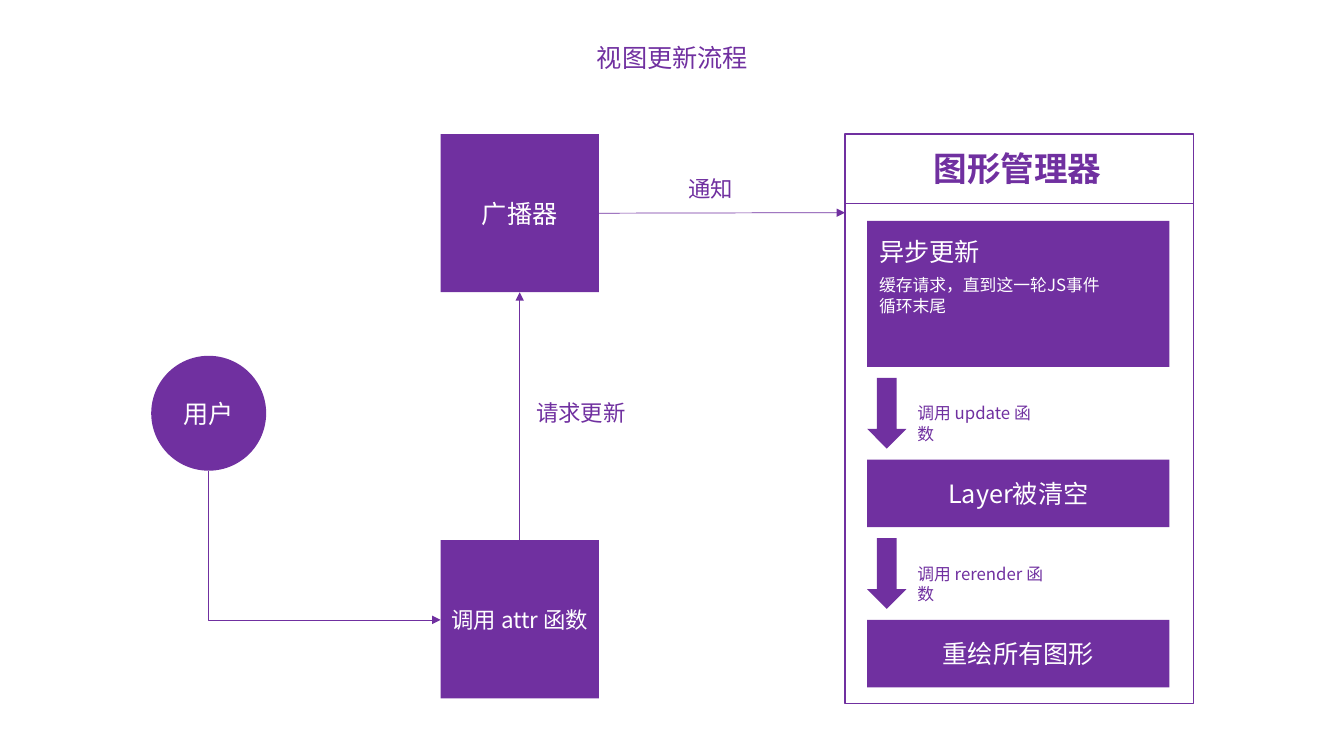
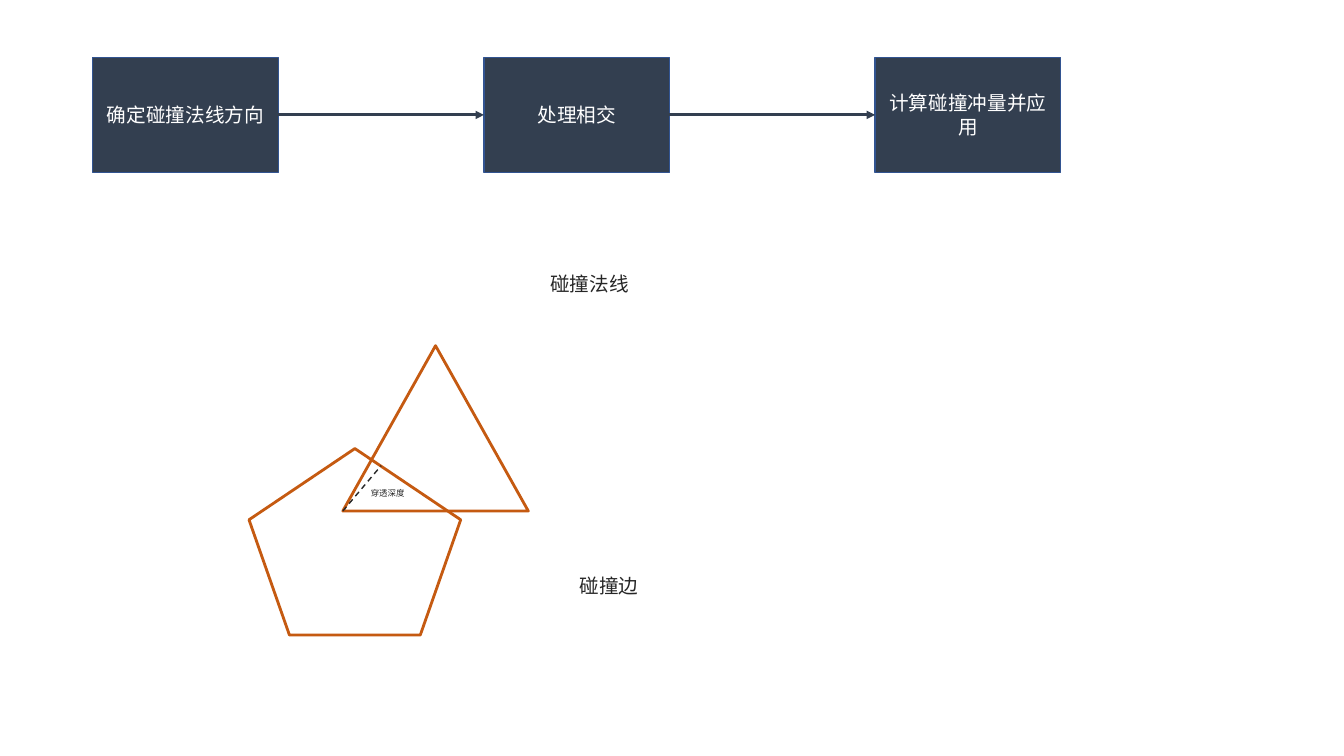
from dataclasses import dataclass
from itertools import pairwise
from typing import NamedTuple, Optional

from lxml import etree
from pptx import Presentation
from pptx.dml.color import RGBColor
from pptx.enum.dml import MSO_LINE
from pptx.enum.shapes import MSO_CONNECTOR, MSO_SHAPE
from pptx.enum.text import MSO_ANCHOR, PP_ALIGN
from pptx.oxml.ns import qn
from pptx.shapes.autoshape import Shape
from pptx.shapes.connector import Connector
from pptx.slide import Slide
from pptx.text.text import TextFrame
from pptx.util import Inches, Pt

RECTANGLE = MSO_SHAPE.RECTANGLE
OVAL = MSO_SHAPE.OVAL
DOWN_ARROW = MSO_SHAPE.DOWN_ARROW
TRIANGLE = MSO_SHAPE.ISOSCELES_TRIANGLE
PENTAGON = MSO_SHAPE.REGULAR_PENTAGON
STRAIGHT = MSO_CONNECTOR.STRAIGHT
ELBOW = MSO_CONNECTOR.ELBOW
DASH = MSO_LINE.DASH
LEFT, CENTER = PP_ALIGN.LEFT, PP_ALIGN.CENTER
TOP, MIDDLE = MSO_ANCHOR.TOP, MSO_ANCHOR.MIDDLE
TOP_SIDE, LEFT_SIDE, BOTTOM_SIDE, RIGHT_SIDE = range(4)
TITLE_ONLY, BLANK = 5, 6


@dataclass(frozen=True)
class Theme:
    font: str = "Noto Sans CJK SC"
    purple: RGBColor = RGBColor(0x70, 0x30, 0xA0)
    slate: RGBColor = RGBColor(0x33, 0x3F, 0x50)
    blue: RGBColor = RGBColor(0x32, 0x54, 0x91)
    orange: RGBColor = RGBColor(0xC5, 0x5A, 0x11)
    ink: RGBColor = RGBColor(0x26, 0x26, 0x26)
    white: RGBColor = RGBColor(0xFF, 0xFF, 0xFF)
    heading: int = 24
    large: int = 18
    medium: int = 16
    normal: int = 14
    small: int = 12
    tiny: int = 6
    hairline: float = 0.5
    outline: float = 1
    heavy: float = 2


THEME = Theme()


class Frame(NamedTuple):
    left: float
    top: float
    width: float
    height: float

    def lengths(self) -> list[int]:
        return [Inches(value) for value in self]


class Point(NamedTuple):
    x: float
    y: float


@dataclass(frozen=True)
class Look:
    fill: Optional[RGBColor] = None
    line: Optional[RGBColor] = None
    weight: float = THEME.outline


@dataclass(frozen=True)
class Label:
    text: str
    frame: Frame
    size: int
    color: RGBColor
    bold: bool = False


@dataclass(frozen=True)
class Step:
    text: str
    height: float
    call: str = ""
    call_width: float = 0


PURPLE_BLOCK = Look(fill=THEME.purple)
PURPLE_PANEL = Look(line=THEME.purple)
SLATE_BLOCK = Look(fill=THEME.slate, line=THEME.blue)
ORANGE_OUTLINE = Look(line=THEME.orange, weight=THEME.heavy)


def write(frame: TextFrame, text: str, size: int, color: RGBColor,
          align: PP_ALIGN = CENTER, anchor: MSO_ANCHOR = MIDDLE, bold: bool = False) -> None:
    frame.word_wrap = True
    frame.vertical_anchor = anchor
    paragraph = frame.paragraphs[0]
    paragraph.text = text
    paragraph.alignment = align
    font = paragraph.font
    font.size, font.bold, font.name = Pt(size), bold, THEME.font
    font.color.rgb = color
    properties = paragraph._p.get_or_add_pPr().find(qn("a:defRPr"))
    etree.SubElement(properties, qn("a:ea"), typeface=THEME.font)


def add_label(page: Slide, label: Label) -> None:
    box = page.shapes.add_textbox(*label.frame.lengths())
    write(box.text_frame, label.text, label.size, label.color, LEFT, TOP, label.bold)


def add_block(page: Slide, kind: MSO_SHAPE, frame: Frame, look: Look,
              text: str = "", size: int = THEME.large) -> Shape:
    block = page.shapes.add_shape(kind, *frame.lengths())
    block.shadow.inherit = False
    if look.fill is None:
        block.fill.background()
    else:
        block.fill.solid()
        block.fill.fore_color.rgb = look.fill
    if look.line is None:
        block.line.fill.background()
    else:
        block.line.color.rgb = look.line
        block.line.width = Pt(look.weight)
    if text:
        write(block.text_frame, text, size, THEME.white)
    return block


def add_line(page: Slide, start: Point, end: Point, color: RGBColor, weight: float,
             arrow: bool = False, kind: MSO_CONNECTOR = STRAIGHT) -> Connector:
    line = page.shapes.add_connector(kind, *(Inches(value) for value in (*start, *end)))
    line.line.color.rgb = color
    line.line.width = Pt(weight)
    if arrow:
        etree.SubElement(line.line._get_or_add_ln(), qn("a:tailEnd"), type="triangle")
    etree.SubElement(line._element.spPr, qn("a:effectLst"))
    return line


def add_corner_arrow(page: Slide, start: Point, end: Point) -> None:
    """Draw an arrow that runs down from start, then right to end."""
    across, down = end.x - start.x, end.y - start.y
    middle = Point((start.x + end.x) / 2, (start.y + end.y) / 2)
    arrow = add_line(page, Point(middle.x + down / 2, middle.y - across / 2),
                     Point(middle.x - down / 2, middle.y + across / 2),
                     THEME.purple, THEME.hairline, arrow=True, kind=ELBOW)
    properties = arrow._element.spPr
    properties.find(qn("a:xfrm")).set("rot", str(270 * 60000))
    properties.find(qn("a:prstGeom")).set("prst", "bentConnector2")


def add_manager(page: Slide) -> None:
    """Draw the graphics manager panel with its stack of steps."""
    panel = Frame(8.38, 1.33, 3.46, 5.65)
    add_block(page, RECTANGLE, panel, PURPLE_PANEL)
    add_label(page, Label("图形管理器", Frame(9.16, 1.42, 1.88, 0.5),
                          THEME.heading, THEME.purple, bold=True))
    add_line(page, Point(panel.left, 2.02), Point(panel.left + panel.width, 2.02),
             THEME.purple, THEME.hairline)

    left, top, gap, arrow_height = 8.6, 2.19, 0.11, 0.7
    steps = [
        Step("", 1.45, "调用 update 函数", 1.48),
        Step("Layer被清空", 0.67, "调用 rerender 函数", 1.59),
        Step("重绘所有图形", 0.67),
    ]
    for step in steps:
        add_block(page, RECTANGLE, Frame(left, top, 3, step.height), PURPLE_BLOCK, step.text)
        top += step.height + gap
        if step.call:
            add_block(page, DOWN_ARROW, Frame(left, top, 0.39, arrow_height), PURPLE_BLOCK)
            add_label(page, Label(step.call, Frame(9, top + 0.2, step.call_width, 0.3),
                                  THEME.small, THEME.purple))
            top += arrow_height + gap

    add_label(page, Label("异步更新", Frame(8.62, 2.3, 1.21, 0.4), THEME.large, THEME.white))
    add_label(page, Label("缓存请求，直到这一轮JS事件循环末尾",
                          Frame(8.62, 2.68, 2.46, 0.5), THEME.small, THEME.white))


def build_update_flow(page: Slide) -> None:
    title = page.shapes.title
    title.left, title.top, title.width, title.height = Frame(5.81, 0.37, 1.72, 0.4).lengths()
    write(title.text_frame, "视图更新流程", THEME.large, THEME.purple)

    side = 1.57
    call_frame = Frame(4.37, 5.36, side, side)
    caster_frame = Frame(4.37, 1.33, side, side)
    user_frame = Frame(1.5, 3.53, 1.14, 1.14)
    call = add_block(page, RECTANGLE, call_frame, PURPLE_BLOCK, "调用 attr 函数", THEME.medium)
    caster = add_block(page, RECTANGLE, caster_frame, PURPLE_BLOCK, "广播器")
    add_block(page, OVAL, user_frame, PURPLE_BLOCK, "用户")
    add_manager(page)

    add_corner_arrow(page, Point(2.07, 4.67), Point(call_frame.left, 6.15))
    request = add_line(page, Point(5.16, 5.36), Point(5.16, 2.9),
                       THEME.purple, THEME.hairline, arrow=True)
    request.begin_connect(call, TOP_SIDE)
    request.end_connect(caster, BOTTOM_SIDE)
    notice = add_line(page, Point(5.94, 2.11), Point(8.38, 2.11),
                      THEME.purple, THEME.hairline, arrow=True)
    notice.begin_connect(caster, RIGHT_SIDE)

    add_label(page, Label("请求更新", Frame(5.22, 3.91, 1.1, 0.37), THEME.medium, THEME.purple))
    add_label(page, Label("通知", Frame(6.73, 1.69, 0.65, 0.37), THEME.medium, THEME.purple))


def build_collision(page: Slide) -> None:
    stages = ["确定碰撞法线方向", "处理相交", "计算碰撞冲量并应用"]
    boxes = [
        add_block(page, RECTANGLE, Frame(0.92 + 3.88 * index, 0.57, 1.84, 1.14),
                  SLATE_BLOCK, stage, THEME.normal)
        for index, stage in enumerate(stages)
    ]
    for before, after in pairwise(boxes):
        arrow = add_line(page, Point(0, 0), Point(1, 1), THEME.slate, THEME.heavy, arrow=True)
        arrow.begin_connect(before, RIGHT_SIDE)
        arrow.end_connect(after, LEFT_SIDE)

    add_block(page, PENTAGON, Frame(2.47, 4.45, 2.1, 1.85), ORANGE_OUTLINE)
    add_block(page, TRIANGLE, Frame(3.4, 3.43, 1.84, 1.64), ORANGE_OUTLINE)
    labels = [
        Label("碰撞边", Frame(5.65, 5.64, 0.79, 0.34), THEME.normal, THEME.ink),
        Label("碰撞法线", Frame(5.36, 2.65, 0.99, 0.34), THEME.normal, THEME.ink),
        Label("穿透深度", Frame(3.58, 4.79, 0.54, 0.2), THEME.tiny, THEME.ink),
    ]
    for label in labels:
        add_label(page, label)
    depth = add_line(page, Point(3.4, 5.07), Point(3.78, 4.62), THEME.ink, THEME.outline)
    depth.line.dash_style = DASH


def main() -> None:
    deck = Presentation()
    deck.slide_width, deck.slide_height = Inches(13.33), Inches(7.5)
    layouts = deck.slide_layouts
    build_update_flow(deck.slides.add_slide(layouts[TITLE_ONLY]))
    build_collision(deck.slides.add_slide(layouts[BLANK]))
    deck.save("out.pptx")


if __name__ == "__main__":
    main()
